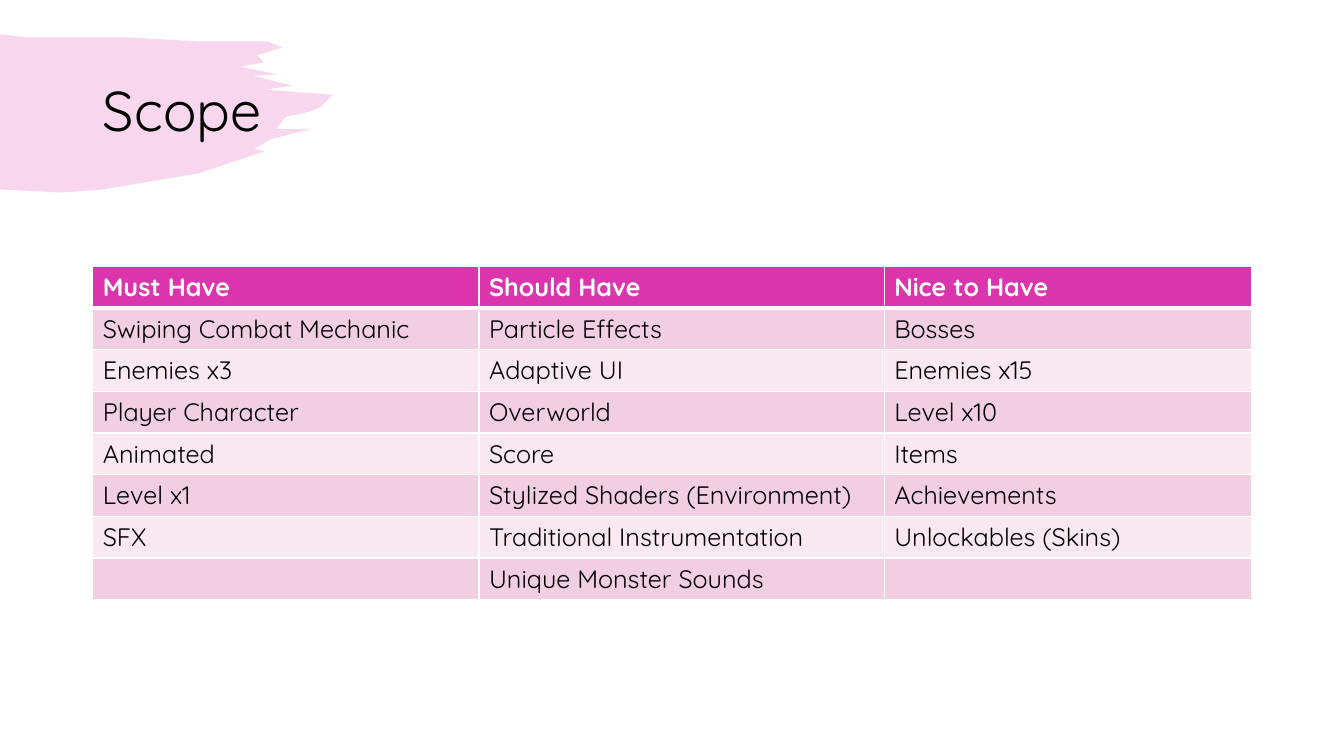
from lxml import etree
from pptx import Presentation
from pptx.dml.color import RGBColor
from pptx.enum.text import MSO_ANCHOR, PP_ALIGN
from pptx.oxml.ns import qn
from pptx.util import Inches, Pt

MIDDLE = MSO_ANCHOR.MIDDLE
LEFT = PP_ALIGN.LEFT
TITLE_ONLY = 5
FONT = "Quicksand"
COLORS = {
    "accent": "DC34AD",
    "dark_band": "F2CEE3",
    "light_band": "F9E8F1",
    "text": "000000",
    "white": "FFFFFF",
}

BRUSH_OUTLINE = [
    (0, 0.34), (0.25, 0.37), (1.25, 0.37), (1.94, 0.41), (2.65, 0.41),
    (2.8, 0.47), (2.55, 0.55), (2.62, 0.62), (2.38, 0.66), (2.75, 0.74),
    (2.51, 0.75), (2.73, 0.81), (2.9, 0.85), (2.63, 0.89), (3.3, 0.94),
    (3.18, 1.06), (3.07, 1.11), (2.83, 1.16), (2.74, 1.28), (3.08, 1.28),
    (2.69, 1.38), (2.52, 1.48), (2.63, 1.5), (1.97, 1.72), (1.02, 1.88),
    (0.6, 1.91), (0, 1.88),
]

SCOPE = [
    ("Must Have", "Should Have", "Nice to Have"),
    ("Swiping Combat Mechanic", "Particle Effects", "Bosses"),
    ("Enemies x3", "Adaptive UI", "Enemies x15"),
    ("Player Character", "Overworld", "Level x10"),
    ("Animated", "Score", "Items"),
    ("Level x1", "Stylized Shaders (Environment)", "Achievements"),
    ("SFX", "Traditional Instrumentation", "Unlockables (Skins)"),
    ("", "Unique Monster Sounds", ""),
]


def rgb(name):
    return RGBColor.from_string(COLORS[name])


class SlideBuilder:
    def __init__(self, prs):
        self.s = prs.slides.add_slide(prs.slide_layouts[TITLE_ONLY])

    def run(self, p, text, color, **formats):
        r = p.add_run()
        r.text = text
        r.font.color.rgb = rgb(color)
        for name, value in {"name": FONT, **formats}.items():
            setattr(r.font, name, value)

    def title(self, text, left, top, width, height):
        sp = self.s.shapes.title
        box = {"left": left, "top": top, "width": width, "height": height}
        for name, value in box.items():
            setattr(sp, name, Inches(value))
        tf = sp.text_frame
        tf.vertical_anchor = MIDDLE
        p = tf.paragraphs[0]
        for name, value in {"alignment": LEFT, "line_spacing": 0.9}.items():
            setattr(p, name, value)
        self.run(p, text, "text", size=Pt(40), bold=False)

    def brush(self, outline, color, opacity):
        start, *points = [(Inches(x), Inches(y)) for x, y in outline]
        builder = self.s.shapes.build_freeform(*start)
        builder.add_line_segments(points, close=True)
        sp = builder.convert_to_shape()
        sp.shadow.inherit = False
        sp.fill.solid()
        sp.fill.fore_color.rgb = rgb(color)
        sp.line.fill.background()
        fill_color = sp._element.spPr.find(qn("a:solidFill")).find(qn("a:srgbClr"))
        etree.SubElement(fill_color, qn("a:alpha"), val=str(opacity * 1000))
        self.s.shapes._spTree.insert(2, sp._element)

    def borders(self, cell, widths):
        tc_pr = cell._tc.get_or_add_tcPr()
        for side, width in widths.items():
            line = etree.SubElement(tc_pr, qn(f"a:ln{side}"), w=str(Pt(width)))
            fill = etree.SubElement(line, qn("a:solidFill"))
            etree.SubElement(fill, qn("a:srgbClr"), val=COLORS["white"])

    def table(self, rows, left, top, col_widths, row_height):
        frame = self.s.shapes.add_table(
            len(rows), len(col_widths), Inches(left), Inches(top),
            Inches(sum(col_widths)), Inches(row_height * len(rows)))
        table = frame.table
        for column, width in zip(table.columns, col_widths):
            column.width = Inches(width)
        for i, texts in enumerate(rows):
            table.rows[i].height = Inches(row_height)
            header = i == 0
            band = "accent" if header else "dark_band" if i % 2 else "light_band"
            widths = {"L": 1, "R": 1, "T": 3 if i == 1 else 1, "B": 3 if header else 1}
            for j, text in enumerate(texts):
                cell = table.cell(i, j)
                self.borders(cell, widths)
                cell.fill.solid()
                cell.fill.fore_color.rgb = rgb(band)
                if text:
                    self.run(cell.text_frame.paragraphs[0], text,
                             "white" if header else "text", size=Pt(18), bold=header)


def main():
    prs = Presentation()
    prs.slide_width = Inches(13.33)
    prs.slide_height = Inches(7.5)
    slide = SlideBuilder(prs)
    slide.brush(BRUSH_OUTLINE, "accent", 20)
    slide.title("Scope", 0.92, 0.4, 11.5, 1.45)
    slide.table(SCOPE, 0.92, 2.64, (3.83, 4.02, 3.64), 0.41)
    prs.save("out.pptx")


if __name__ == "__main__":
    main()
